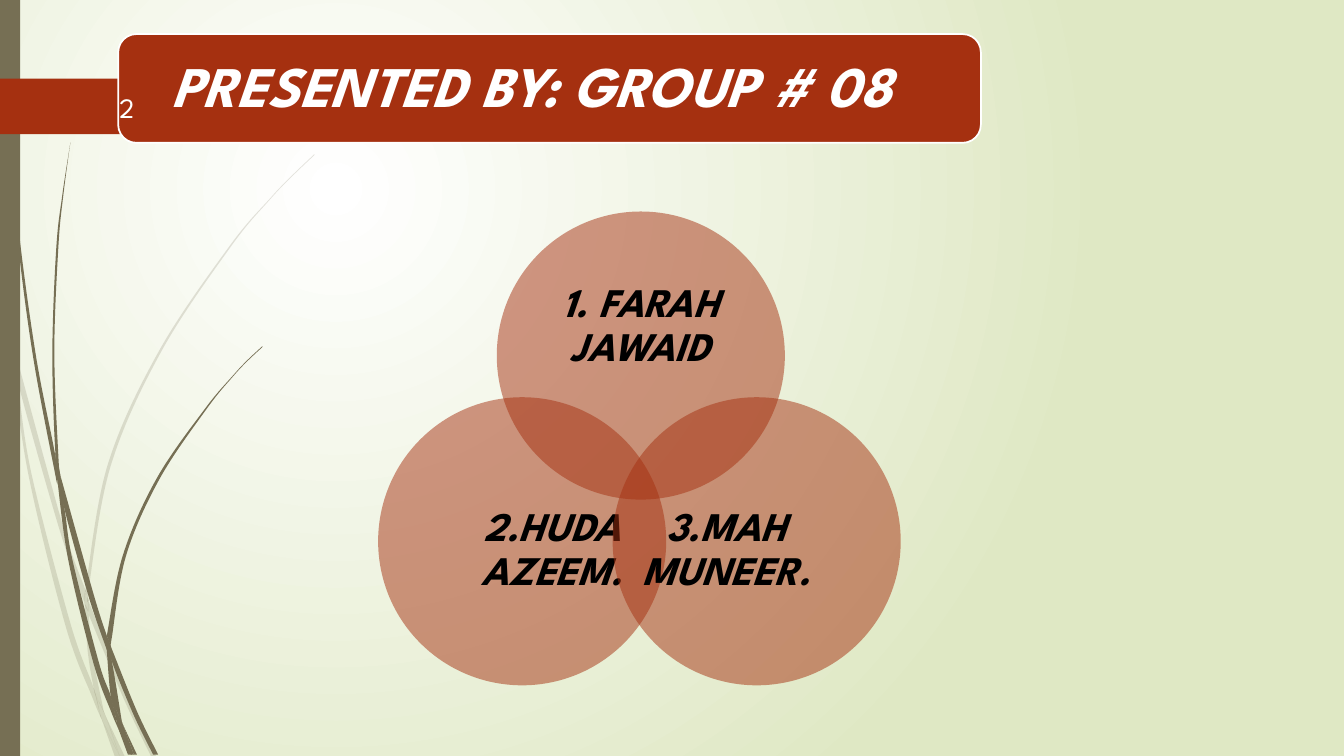
from dataclasses import dataclass
from typing import Optional

from lxml.etree import SubElement
from pptx import Presentation
from pptx.dml.color import RGBColor
from pptx.enum.shapes import MSO_SHAPE as Preset
from pptx.enum.text import MSO_ANCHOR as Anchor, PP_ALIGN as Align
from pptx.oxml.ns import qn
from pptx.shapes.autoshape import Shape
from pptx.slide import Slide
from pptx.text.text import TextFrame
from pptx.util import Cm, Pt

Point = tuple[float, float]


@dataclass(frozen=True)
class Theme:
    font: str = "League Spartan"
    accent: str = "A53010"
    grass: str = "766F54"
    glow: str = "FFFFFF"
    meadow: str = "DFE8C4"
    light: str = "FFFFFF"
    dark: str = "000000"
    page: str = "FEFFFF"
    title_size: float = 41
    member_size: float = 29
    page_size: float = 20


@dataclass(frozen=True)
class Box:
    left: float
    top: float
    width: float
    height: float

    def lengths(self) -> tuple[Cm, Cm, Cm, Cm]:
        return Cm(self.left), Cm(self.top), Cm(self.width), Cm(self.height)


@dataclass(frozen=True)
class Member:
    name: str
    circle: Box
    label: Box


@dataclass(frozen=True)
class Blade:
    """A piece of grass between two edges, each listed from tip to root in inches."""
    left: list[Point]
    right: list[Point]


THEME = Theme()
CIRCLE = 7.26
BLADE_UNIT = Cm(0.00254)
UNITS_PER_INCH = 1000
FAINT = 20

MEMBERS = [
    Member("1. FARAH JAWAID", Box(12.52, 5.33, CIRCLE, CIRCLE), Box(13.49, 6.6, 5.31, 3.25)),
    Member("2.HUDA AZEEM.", Box(9.53, 10.01, CIRCLE, CIRCLE), Box(11.75, 11.88, 4.34, 3.99)),
    Member("3.MAH MUNEER.", Box(15.44, 10.01, CIRCLE, CIRCLE), Box(16.14, 11.88, 4.34, 3.99)),
]

FAINT_BLADES = [
    Blade([(0, 2.99), (0.1, 3.44), (0.11, 3.5)], [(0, 2.82), (0.09, 3.22), (0.11, 3.5)]),
    Blade([(0.14, 3.45), (0.17, 3.76), (0.58, 5.22), (0.84, 5.99)],
          [(0.14, 3.45), (0.62, 5.2), (0.85, 5.86)]),
    Blade([(0.88, 6.1), (1.23, 6.94), (1.5, 7.51)],
          [(0.88, 5.96), (0.92, 6.07), (1.27, 6.92), (1.55, 7.51)]),
    Blade([(1.05, 7.11), (1.19, 7.51)], [(1.05, 7.11), (1.24, 7.51)]),
    Blade([(0.11, 3.5), (0.28, 4.7), (0.65, 6.21), (0.92, 6.93), (1.01, 7.14)],
          [(0.11, 3.5), (0.17, 3.76), (0.31, 4.69), (0.7, 6.19), (0.93, 6.83), (0.99, 7.07)]),
    Blade([(0.84, 5.99), (0.87, 6.46), (0.93, 6.83), (0.96, 6.92), (1.05, 7.11)],
          [(0.84, 5.99), (0.88, 6.1), (0.91, 6.46), (1.03, 7.06)]),
    Blade([(3.12, 1.53), (2.89, 1.75), (2.68, 1.97), (2.28, 2.44), (1.58, 3.48), (1.07, 4.61),
           (0.85, 5.84), (0.85, 5.86)],
          [(3.12, 1.54), (2.9, 1.75), (2.68, 1.98), (2.29, 2.45), (1.6, 3.49), (1.1, 4.62),
           (0.88, 5.84), (0.88, 5.96)]),
    Blade([(1.01, 7.14), (1.14, 7.51)], [(1.01, 7.14), (1.19, 7.51)]),
    Blade([(0.85, 5.86), (0.84, 5.99), (0.88, 6.08)], [(0.85, 5.86), (0.88, 5.96), (0.88, 6.1)]),
    Blade([(0.93, 6.83), (0.99, 7.07), (1.01, 7.14), (1.19, 7.51)],
          [(0.93, 6.83), (0.96, 6.92), (1.05, 7.11), (1.19, 7.51)]),
]

SOLID_BLADES = [
    Blade([(0.03, 0), (0.04, 0.48), (0.07, 1.1), (0.17, 2.33), (0.33, 3.55), (0.56, 4.77)],
          [(0.04, 0), (0.05, 0.48), (0.08, 1.09), (0.19, 2.32), (0.36, 3.55), (0.55, 4.53),
           (0.57, 4.81)]),
    Blade([(0.6, 4.72), (0.64, 5.05), (0.88, 5.92), (1.06, 6.45)],
          [(0.6, 4.72), (0.93, 5.9), (1.06, 6.31)]),
    Blade([(1.1, 6.41), (1.11, 6.56), (1.32, 7.08), (1.52, 7.49)],
          [(1.1, 6.41), (1.13, 6.49), (1.36, 7.06), (1.57, 7.49)]),
    Blade([(0.57, 4.77), (0.68, 5.57), (0.93, 6.59), (1.11, 7.08), (1.17, 7.22)],
          [(0.57, 4.77), (0.64, 5.05), (0.72, 5.56), (0.98, 6.57), (1.1, 6.91), (1.16, 7.17)]),
    Blade([(0.7, 1.41), (0.62, 1.93), (0.56, 2.45), (0.52, 3.49), (0.55, 4.49), (0.6, 4.72)],
          [(0.7, 1.41), (0.63, 1.93), (0.58, 2.45), (0.54, 3.49), (0.58, 4.53), (0.6, 4.72)]),
    Blade([(1.22, 7.19), (1.33, 7.49)], [(1.22, 7.19), (1.36, 7.49)]),
    Blade([(0.55, 4.49), (0.55, 4.53), (0.57, 4.77), (0.64, 5.05)],
          [(0.55, 4.49), (0.6, 4.72), (0.64, 5.05)]),
    Blade([(2.6, 3.44), (2.45, 3.58), (2.31, 3.73), (2.04, 4.05), (1.56, 4.74), (1.22, 5.51),
           (1.06, 6.31)],
          [(2.61, 3.44), (2.45, 3.59), (2.31, 3.74), (2.05, 4.06), (1.58, 4.76), (1.25, 5.52),
           (1.11, 6.33), (1.1, 6.41)]),
    Blade([(1.17, 7.22), (1.27, 7.49)], [(1.17, 7.22), (1.31, 7.49)]),
    Blade([(1.06, 6.45), (1.1, 6.91), (1.16, 7.06), (1.22, 7.19)],
          [(1.06, 6.45), (1.11, 6.56), (1.21, 7.16)]),
    Blade([(1.06, 6.31), (1.06, 6.45)], [(1.06, 6.31), (1.1, 6.41), (1.11, 6.56)]),
    Blade([(1.1, 6.91), (1.16, 7.17), (1.17, 7.22), (1.3, 7.49)],
          [(1.1, 6.91), (1.16, 7.06), (1.22, 7.19), (1.33, 7.49)]),
]


def paint(shape: Shape, color: str, opacity: Optional[int] = None) -> None:
    shape.shadow.inherit = False
    shape.fill.solid()
    shape.fill.fore_color.rgb = RGBColor.from_string(color)
    shape.line.fill.background()
    if opacity is not None:
        tint = shape.element.spPr.find(qn("a:solidFill")).find(qn("a:srgbClr"))
        SubElement(tint, qn("a:alpha")).set("val", str(opacity * 1000))


def add_preset(slide: Slide, preset: Preset, box: Box, color: str,
               opacity: Optional[int] = None) -> Shape:
    shape = slide.shapes.add_shape(preset, *box.lengths())
    paint(shape, color, opacity)
    return shape


def write(frame: TextFrame, text: str, size: float, color: str, align: Align,
          inset: Optional[float] = None, strong: bool = True) -> None:
    frame.text = text
    frame.word_wrap = True
    frame.vertical_anchor = Anchor.MIDDLE
    if inset is not None:
        frame.margin_left = frame.margin_right = Cm(inset)
        frame.margin_top = frame.margin_bottom = Cm(inset)
    paragraph = frame.paragraphs[0]
    paragraph.alignment = align
    if strong:
        paragraph.line_spacing = 0.9
    font = paragraph.runs[0].font
    font.name, font.size = THEME.font, Pt(size)
    font.bold = font.italic = strong
    font.color.rgb = RGBColor.from_string(color)


def bezier_points(edge: list[Point]) -> list[Point]:
    """Give two handles and an end for each stretch of a smooth curve along the edge."""
    padded = [edge[0], *edge, edge[-1]]
    points = []
    for a, b, c, d in zip(padded, padded[1:], padded[2:], padded[3:]):
        points.append((b[0] + (c[0] - a[0]) / 6, b[1] + (c[1] - a[1]) / 6))
        points.append((c[0] - (d[0] - b[0]) / 6, c[1] - (d[1] - b[1]) / 6))
        points.append(c)
    return points


def add_blade(slide: Slide, blade: Blade, opacity: Optional[int] = None) -> None:
    root = blade.right[-1]
    outline = [blade.left[0], *bezier_points(blade.left), root, root, root,
               *bezier_points(blade.right[::-1])]
    start, *rest = [(round(x * UNITS_PER_INCH), round(y * UNITS_PER_INCH)) for x, y in outline]
    builder = slide.shapes.build_freeform(*start, scale=BLADE_UNIT)
    builder.add_line_segments(rest, close=False)
    shape = builder.convert_to_shape()
    contour = shape.element.spPr.find(".//" + qn("a:path"))
    segments = contour.findall(qn("a:lnTo"))
    for triple in zip(segments[::3], segments[1::3], segments[2::3]):
        curve = SubElement(contour, qn("a:cubicBezTo"))
        for segment in triple:
            curve.append(segment[0])
            contour.remove(segment)
    SubElement(contour, qn("a:close"))
    paint(shape, THEME.grass, opacity)


def add_glow_background(slide: Slide) -> None:
    fill = slide.background.fill
    fill.gradient()
    for stop, color, position in zip(fill.gradient_stops, (THEME.glow, THEME.meadow), (0, 1)):
        stop.color.rgb = RGBColor.from_string(color)
        stop.position = position
    gradient = slide.element.find(".//" + qn("a:gradFill"))
    gradient.remove(gradient.find(qn("a:lin")))
    circle = SubElement(gradient, qn("a:path"))
    circle.set("path", "circle")
    focus = SubElement(circle, qn("a:fillToRect"))
    for side, percent in {"l": 50, "t": 50, "r": 100, "b": 100}.items():
        focus.set(side, str(percent * 1000))


def add_title(slide: Slide) -> None:
    banner = add_preset(slide, Preset.ROUNDED_RECTANGLE, Box(2.98, 0.86, 21.74, 2.74), THEME.accent)
    banner.line.color.rgb = RGBColor.from_string(THEME.light)
    banner.line.width = Pt(1.25)
    write(banner.text_frame, "PRESENTED BY: GROUP # 08", THEME.title_size, THEME.light,
          Align.LEFT, inset=0.43)
    banner.text_frame.margin_left = Cm(1.2)


def add_member(slide: Slide, member: Member) -> None:
    add_preset(slide, Preset.OVAL, member.circle, THEME.accent, opacity=50)
    label = slide.shapes.add_textbox(*member.label.lengths())
    write(label.text_frame, member.name, THEME.member_size, THEME.dark, Align.CENTER, inset=0)


def main() -> None:
    deck = Presentation()
    deck.slide_width, deck.slide_height = Cm(33.87), Cm(19.05)
    slide = deck.slides.add_slide(deck.slide_layouts[6])
    add_glow_background(slide)
    for blade in FAINT_BLADES:
        add_blade(slide, blade, FAINT)
    for blade in SOLID_BLADES:
        add_blade(slide, blade)
    add_preset(slide, Preset.RECTANGLE, Box(0, 0, 0.51, 19.05), THEME.grass)
    add_preset(slide, Preset.PENTAGON, Box(0, 1.98, 4.42, 1.4), THEME.accent)
    add_title(slide)
    for member in MEMBERS:
        add_member(slide, member)
    page_number = slide.shapes.add_textbox(*Box(1.48, 2.19, 2.16, 1.02).lengths())
    write(page_number.text_frame, "2", THEME.page_size, THEME.page, Align.RIGHT, strong=False)
    deck.save("out.pptx")


if __name__ == "__main__":
    main()
